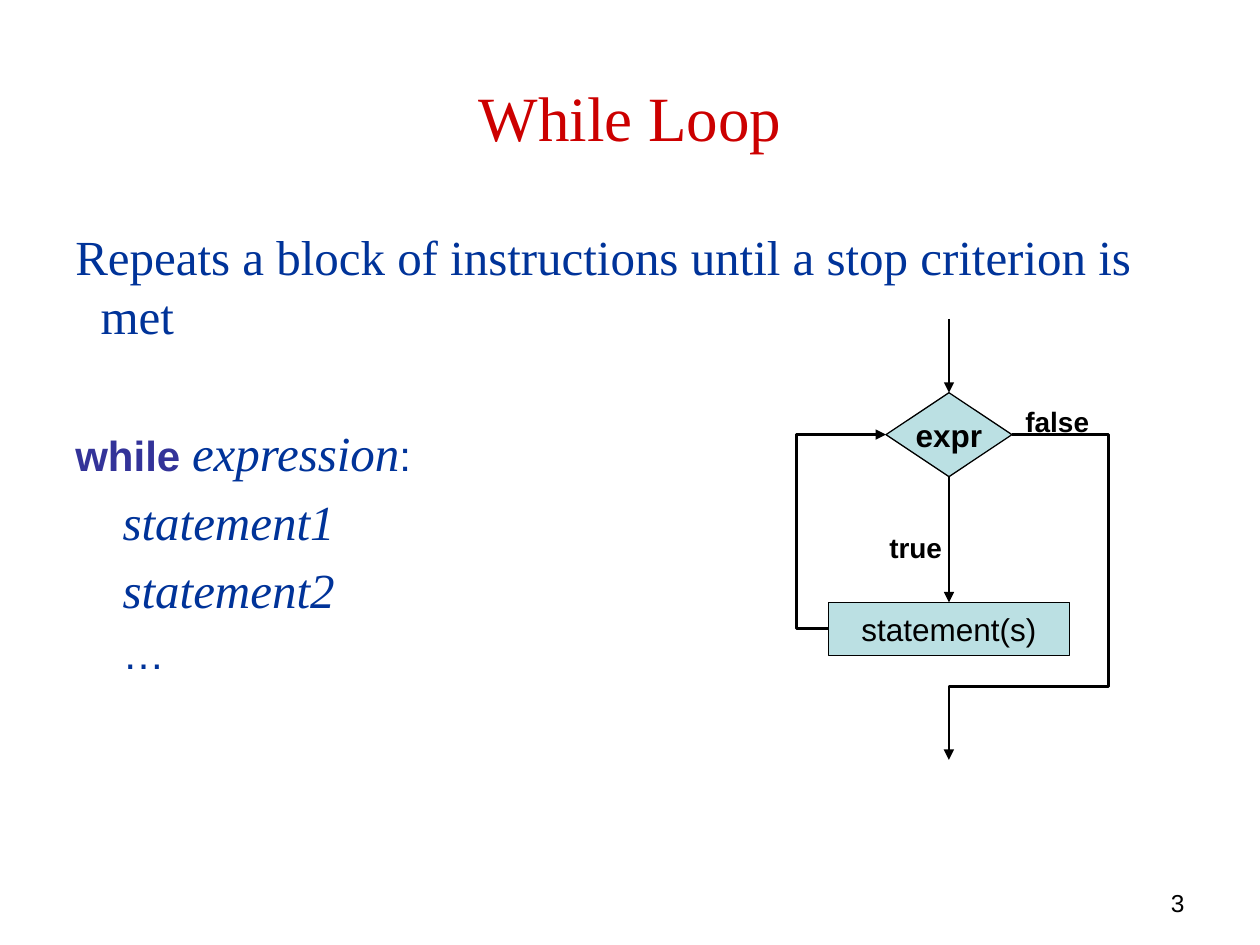
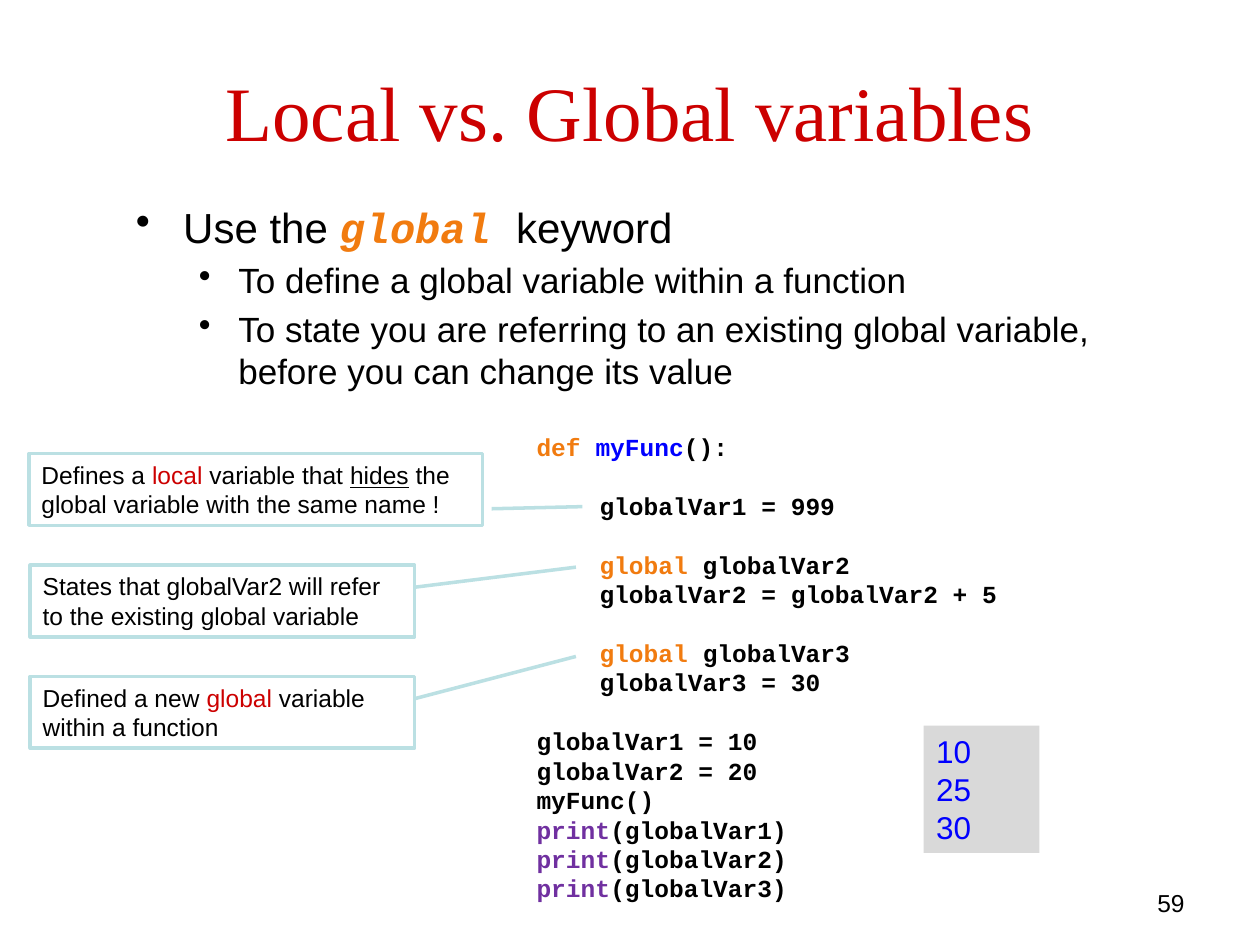
from dataclasses import dataclass

from lxml import etree
from pptx import Presentation
from pptx.dml.color import RGBColor
from pptx.enum.shapes import MSO_CONNECTOR, MSO_SHAPE
from pptx.enum.text import MSO_ANCHOR, PP_ALIGN
from pptx.oxml.ns import qn
from pptx.util import Pt

LEFT, CENTER, RIGHT = PP_ALIGN.LEFT, PP_ALIGN.CENTER, PP_ALIGN.RIGHT
TOP, MIDDLE = MSO_ANCHOR.TOP, MSO_ANCHOR.MIDDLE
DECISION, PROCESS = MSO_SHAPE.FLOWCHART_DECISION, MSO_SHAPE.FLOWCHART_PROCESS
CALLOUT, RECTANGLE = MSO_SHAPE.LINE_CALLOUT_1, MSO_SHAPE.RECTANGLE
STRAIGHT, ELBOW = MSO_CONNECTOR.STRAIGHT, MSO_CONNECTOR.ELBOW


class Theme:
    sans, serif, mono = "Arial", "Times New Roman", "Courier New"
    black, red, navy, indigo = "000000", "CC0000", "003399", "333399"
    orange, blue, purple = "F17B0F", "0000FF", "7030A0"
    aqua, grey = "BBE0E3", "D9D9D9"
    lead, body, sub, node, label, small = 28, 24, 20, 18, 16, 14
    leading = 1.2


# Named run styles: only what differs from the paragraph
STYLES = {
    "red": dict(color=Theme.red),
    "underline": dict(underline=True),
    "orange": dict(color=Theme.orange),
    "blue": dict(color=Theme.blue),
    "purple": dict(color=Theme.purple),
    "keyword": dict(color=Theme.indigo, bold=True),
    "placeholder": dict(face=Theme.serif, size=Theme.lead, italic=True),
    "code word": dict(face=Theme.mono, color=Theme.orange, bold=True, italic=True),
}


@dataclass
class Para:
    runs: tuple  # plain strings, or (text, style name) pairs
    size: float = Theme.small
    face: str = Theme.sans
    color: str = Theme.black
    bold: bool = False
    align: int = LEFT
    left: float = 0
    hang: float = 0
    before: float = 0
    bullet: bool = False
    line: float = 0  # line height, when a run is larger than the paragraph


# Content: while loop
SYNTAX = dict(size=Theme.body, color=Theme.navy)
TALL = Theme.lead * Theme.leading
WHILE_BODY = [
    Para(("Repeats a block of instructions until a stop criterion is met",),
         Theme.lead, Theme.serif, Theme.navy, left=14.4, hang=14.4, before=5.6),
    Para((("while ", "keyword"), ("expression", "placeholder"), ":"),
         before=44.8, line=TALL, **SYNTAX),
    Para((("statement1", "placeholder"),), left=27, before=5.6, line=TALL, **SYNTAX),
    Para((("statement2", "placeholder"),), left=27, before=5.6, line=TALL, **SYNTAX),
    Para(("…",), left=27, before=4.8, **SYNTAX),
]

# Content: local and global variables
SUB_POINT = dict(size=Theme.sub, left=58.5, hang=22.5, before=4, bullet=True)
GLOBAL_BODY = [
    Para(("Use the ", ("global ", "code word"), "keyword"),
         Theme.body, left=27, hang=27, before=4.8, bullet=True),
    Para(("To define a global variable within a function",), **SUB_POINT),
    Para(("To state you are referring to an existing global variable, "
          "before you can change its value",), **SUB_POINT),
]

# (indent level, starts a new block, runs)
CODE = [
    (0, False, (("def ", "orange"), ("myFunc", "blue"), "():")),
    (1, True, ("globalVar1 = 999",)),
    (1, True, (("global", "orange"), " globalVar2")),
    (1, False, ("globalVar2 = globalVar2 + 5",)),
    (1, True, (("global ", "orange"), "globalVar3")),
    (1, False, ("globalVar3 = 30",)),
    (0, True, ("globalVar1 = 10",)),
    (0, False, ("globalVar2 = 20",)),
    (0, False, ("myFunc()",)),
] + [(0, False, (("print", "purple"), f"(globalVar{n})")) for n in (1, 2, 3)]

# (left, top, width, callout line as y1, x1, y2, x2 fractions, runs)
REMARKS = [
    (16.6, 259.2, 259.2, (0.77, 1.02, 0.74, 1.22),
     ("Defines a ", ("local ", "red"), "variable that ", ("hides", "underline"),
      " the global variable with the same name !")),
    (17.3, 322.9, 219.6, (0.31, 1, 0.03, 1.42),
     ("States that globalVar2 will refer to the existing global variable",)),
    (17.3, 386.6, 219.6, (0.31, 1, -0.28, 1.42),
     ("Defined a new ", ("global", "red"), " variable within a function")),
]
REMARK_HEIGHT = 41
OUTPUT = ("10", "25", "30")


def rgb(code):
    return RGBColor.from_string(code)


def set_font(font, size=None, color=None, face=None, **flags):
    if face:
        font.name = face
    if size:
        font.size = Pt(size)
    if color:
        font.color.rgb = rgb(color)
    for flag, value in flags.items():  # bold, italic, underline
        setattr(font, flag, value)


def write(shape, paras, anchor=TOP, wrap=True):
    frame = shape.text_frame
    frame.word_wrap = wrap
    frame.vertical_anchor = anchor
    for i, para in enumerate(paras):
        paragraph = frame.add_paragraph() if i else frame.paragraphs[0]
        paragraph.alignment = para.align
        paragraph.space_before = Pt(para.before)
        paragraph.line_spacing = Pt(para.line or para.size * Theme.leading)
        props = paragraph._p.get_or_add_pPr()
        props.set("marL", str(int(Pt(para.left))))
        props.set("indent", str(-int(Pt(para.hang))))
        if para.bullet:
            etree.SubElement(props, qn("a:buChar")).set("char", "•")
        set_font(paragraph.font, para.size, para.color, para.face, bold=para.bold)
        for item in para.runs:
            text, style = (item, None) if isinstance(item, str) else item
            run = paragraph.add_run()
            run.text = text
            if style:
                set_font(run.font, **STYLES[style])


def add_text(slide, box, paras, anchor=TOP, wrap=True):
    write(slide.shapes.add_textbox(*map(Pt, box)), paras, anchor, wrap)


def add_block(slide, kind, box, paras, fill=None, line=None, weight=0.75,
              anchor=MIDDLE, wrap=True):
    block = slide.shapes.add_shape(kind, *map(Pt, box))
    block.shadow.inherit = False
    if fill:
        block.fill.solid()
        block.fill.fore_color.rgb = rgb(fill)
    else:
        block.fill.background()
    if line:
        block.line.color.rgb = rgb(line)
        block.line.width = Pt(weight)
    else:
        block.line.fill.background()
    write(block, paras, anchor, wrap)
    return block


def add_arrow(slide, start, end, bends=()):
    """Arrow from start to end; bends are the elbow adjustments, as fractions."""
    arrow = slide.shapes.add_connector(
        ELBOW if bends else STRAIGHT, *map(Pt, start + end))
    arrow.line.color.rgb = rgb(Theme.black)
    arrow.line.width = Pt(1.5)
    props = arrow._element.spPr
    etree.SubElement(props.find(qn("a:ln")), qn("a:tailEnd")).set("type", "triangle")
    etree.SubElement(props, qn("a:effectLst"))
    if bends:
        geometry = props.find(qn("a:prstGeom"))
        geometry.set("prst", f"bentConnector{len(bends) + 2}")
        guides = geometry.find(qn("a:avLst"))
        for n, bend in enumerate(bends, 1):
            guide = etree.SubElement(guides, qn("a:gd"))
            guide.set("name", f"adj{n}")
            guide.set("fmla", f"val {round(bend * 100000)}")


def new_slide(deck, title, title_top, title_size, number):
    slide = deck.slides.add_slide(deck.slide_layouts[6])
    add_text(slide, (36, title_top, 648, 90),
             [Para((title,), title_size, Theme.serif, Theme.red, align=CENTER)], MIDDLE)
    add_text(slide, (516.2, 504, 167.8, 18), [Para((number,), align=RIGHT)])
    return slide


def while_slide(deck):
    slide = new_slide(deck, "While Loop", 21.6, 36, "3")
    add_text(slide, (36, 126, 648, 356.4), WHILE_BODY)

    # Flowchart, laid out around its vertical axis
    axis = 542.3
    test_w, test_h, test_top = 72, 48, 224.4
    step_w, step_h, step_top = 138, 30.2, 344.2
    test_mid, step_mid = test_top + test_h / 2, step_top + step_h / 2
    entry_top, exit_turn, exit_end = 182.2, 392.4, 434.2
    loop_x, exit_x = 455.2, 633.6
    test_left, test_right = axis - test_w / 2, axis + test_w / 2
    step_left = axis - step_w / 2

    for kind, box, text, bold in (
        (DECISION, (test_left, test_top, test_w, test_h), "expr", True),
        (PROCESS, (step_left, step_top, step_w, step_h), "statement(s)", False),
    ):
        add_block(slide, kind, box, [Para((text,), Theme.node, bold=bold, align=CENTER)],
                  Theme.aqua, Theme.black, wrap=False)

    add_arrow(slide, (axis, entry_top), (axis, test_top))
    add_arrow(slide, (axis, test_top + test_h), (axis, step_top))
    add_arrow(slide, (step_left, step_mid), (test_left, test_mid),
              [(loop_x - step_left) / (test_left - step_left)])
    add_arrow(slide, (test_right, test_mid), (axis, exit_end),
              [(exit_x - test_right) / (axis - test_right),
               (exit_turn - test_mid) / (exit_end - test_mid)])

    for text, left, top, width in (("true", 501.1, 299.5, 44.6),
                                   ("false", 578.9, 227.5, 51.1)):
        add_text(slide, (left, top, width, 26.6),
                 [Para((text,), Theme.label, bold=True)], wrap=False)


def global_slide(deck):
    slide = new_slide(deck, "Local vs. Global variables", 18, 44, "59")
    add_text(slide, (70.6, 111.6, 612, 360), GLOBAL_BODY)

    # Remarks pointing into the code
    for left, top, width, pointer, runs in REMARKS:
        remark = add_block(slide, CALLOUT, (left, top, width, REMARK_HEIGHT),
                           [Para(runs)], line=Theme.aqua, weight=2)
        for i, value in enumerate(pointer):
            remark.adjustments[i] = value

    # Printed output
    add_block(slide, RECTANGLE, (527.8, 414.7, 66.2, 72.7),
              [Para((value,), Theme.node, color=Theme.blue) for value in OUTPUT],
              Theme.grey, anchor=TOP)

    # Code listing: a new block is set off by one line
    gap = Theme.small * Theme.leading
    add_text(slide, (299.5, 243.4, 290, 278.6),
             [Para(runs, face=Theme.mono, bold=True, left=36 * level, before=gap * new)
              for level, new, runs in CODE])


def main():
    deck = Presentation()
    deck.slide_width, deck.slide_height = Pt(720), Pt(540)
    while_slide(deck)
    global_slide(deck)
    deck.save("out.pptx")


if __name__ == "__main__":
    main()
